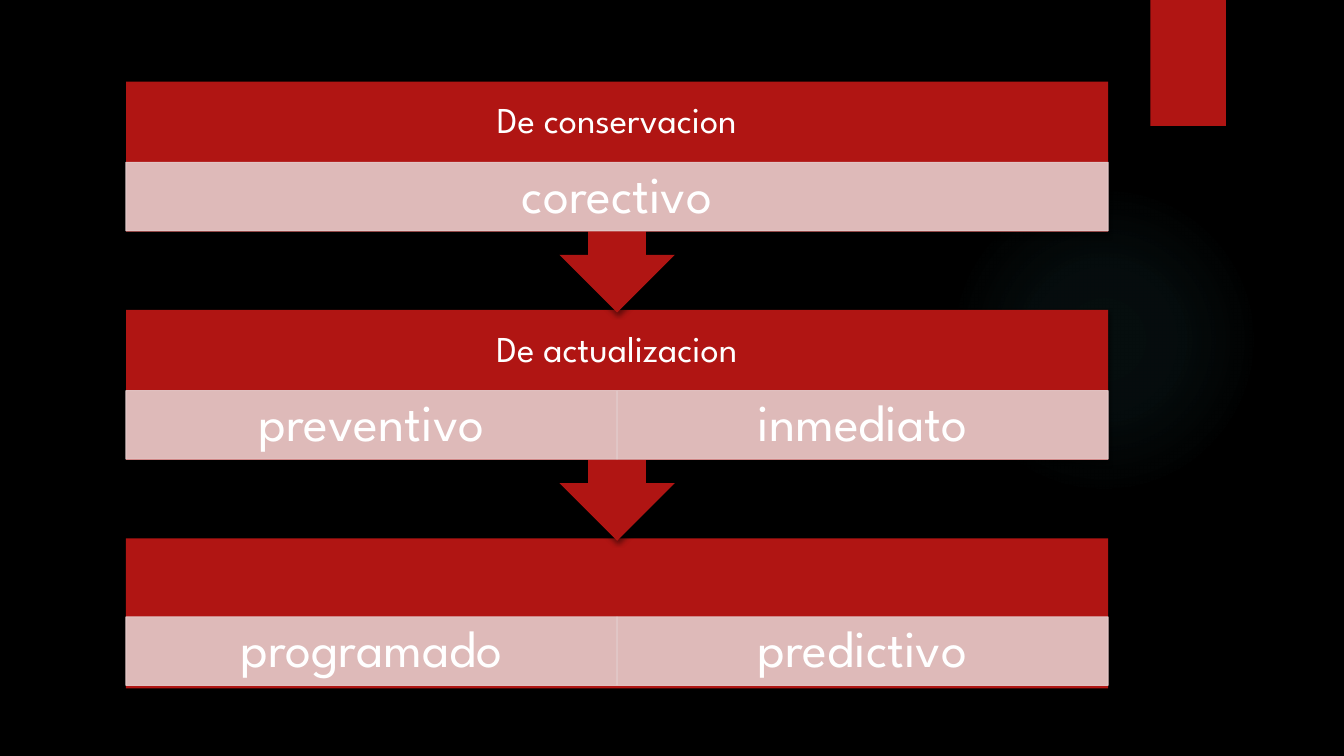
from pptx import Presentation, util as u
from pptx.dml.color import RGBColor
from pptx.enum import shapes, text
from pptx.oxml import parse_xml
from pptx.oxml.ns import nsdecls, qn

STAGES = [
    ("De conservacion", ["corectivo"]),
    ("De actualizacion", ["preventivo", "inmediato"]),
    ("", ["programado", "predictivo"]),
]
COLORS = {"back": "000000", "red": "B01513", "band": "E4CCCC",
          "text": "FFFFFF", "glow": "50B9C1", "shadow": "000000"}
GLOW_STOPS = [(0, 7), (36, 6), (69, 0)]
FONT = "League Spartan"
LEFT, WIDTH = 1.25, 9.74
TOP, PITCH = 0.81, 2.265
CALLOUT_HEIGHT, LAST_HEIGHT = 2.29, 1.49
HEADING_HEIGHT, BAND_HEIGHT = 0.8, 0.68
LAST_BAND_OFFSET = 0.78


def color(name):
    return RGBColor.from_string(COLORS[name])


def add_block(slide, kind, box, fill):
    block = slide.shapes.add_shape(kind, *map(u.Inches, box))
    block.fill.solid()
    block.fill.fore_color.rgb = color(fill)
    block.line.fill.background()
    block.shadow.inherit = False
    return block


def add_red(slide, kind, box):
    block = add_block(slide, kind, box, "red")
    effects = block._element.spPr.find(qn("a:effectLst"))
    effects.append(parse_xml(
        f'<a:outerShdw {nsdecls("a")} blurRad="38100" dist="25400" dir="5400000" rotWithShape="0">'
        f'<a:srgbClr val="{COLORS["shadow"]}"><a:alpha val="45000"/></a:srgbClr></a:outerShdw>'))
    return block


def add_glow(slide):
    glow = add_block(slide, shapes.MSO_SHAPE.OVAL, (9.41, 1.83, 3.08, 3.08), "glow")
    stops = "".join(
        f'<a:gs pos="{place * 1000}"><a:srgbClr val="{COLORS["glow"]}">'
        f'<a:alpha val="{alpha * 1000}"/></a:srgbClr></a:gs>'
        for place, alpha in GLOW_STOPS)
    gradient = parse_xml(
        f'<a:gradFill {nsdecls("a")} rotWithShape="1"><a:gsLst>{stops}</a:gsLst>'
        '<a:path path="circle"><a:fillToRect l="50000" t="50000" r="50000" b="50000"/>'
        '</a:path></a:gradFill>')
    properties = glow._element.spPr
    properties.replace(properties.find(qn("a:solidFill")), gradient)


def write(holder, words, size, side, edge):
    frame = holder.text_frame
    frame.word_wrap = True
    frame.vertical_anchor = text.MSO_ANCHOR.MIDDLE
    frame.margin_left = frame.margin_right = u.Inches(side)
    frame.margin_top = frame.margin_bottom = u.Inches(edge)
    paragraph = frame.paragraphs[0]
    paragraph.alignment = text.PP_ALIGN.CENTER
    paragraph.line_spacing = 0.9
    run = paragraph.add_run()
    run.text = words
    run.font.size = u.Pt(size)
    run.font.name = FONT
    run.font.color.rgb = color("text")


def add_band(slide, box, words):
    band = add_block(slide, shapes.MSO_SHAPE.RECTANGLE, box, "band")
    band.line.color.rgb = color("band")
    band.line.width = u.Pt(0.75)
    for tint in band._element.spPr.iter(qn("a:srgbClr")):
        tint.append(parse_xml(f'<a:alpha {nsdecls("a")} val="90000"/>'))
    write(band, words, 37, 0.29, 0.05)


def add_stage(slide, index, heading, kinds):
    top = TOP + index * PITCH
    if index == len(STAGES) - 1:
        add_red(slide, shapes.MSO_SHAPE.RECTANGLE, (LEFT, top, WIDTH, LAST_HEIGHT))
        band_top = top + LAST_BAND_OFFSET
    else:
        callout = add_red(slide, shapes.MSO_SHAPE.UP_ARROW_CALLOUT,
                          (LEFT, top, WIDTH, CALLOUT_HEIGHT))
        callout.rotation = 180
        band_top = top + HEADING_HEIGHT
    if heading:
        title = slide.shapes.add_textbox(
            *map(u.Inches, (LEFT, top, WIDTH, HEADING_HEIGHT)))
        write(title, heading, 26, 0.2, 0.2)
    band_width = WIDTH / len(kinds)
    for column, words in enumerate(kinds):
        add_band(slide, (LEFT + column * band_width, band_top, band_width, BAND_HEIGHT), words)


def main():
    deck = Presentation()
    deck.slide_width, deck.slide_height = u.Inches(13.33), u.Inches(7.5)
    slide = deck.slides.add_slide(deck.slide_layouts[6])
    slide.background.fill.solid()
    slide.background.fill.fore_color.rgb = color("back")
    add_glow(slide)
    add_red(slide, shapes.MSO_SHAPE.RECTANGLE, (11.41, 0, 0.75, 1.25))
    for index, (heading, kinds) in reversed(list(enumerate(STAGES))):
        add_stage(slide, index, heading, kinds)
    deck.save("out.pptx")


if __name__ == "__main__":
    main()
